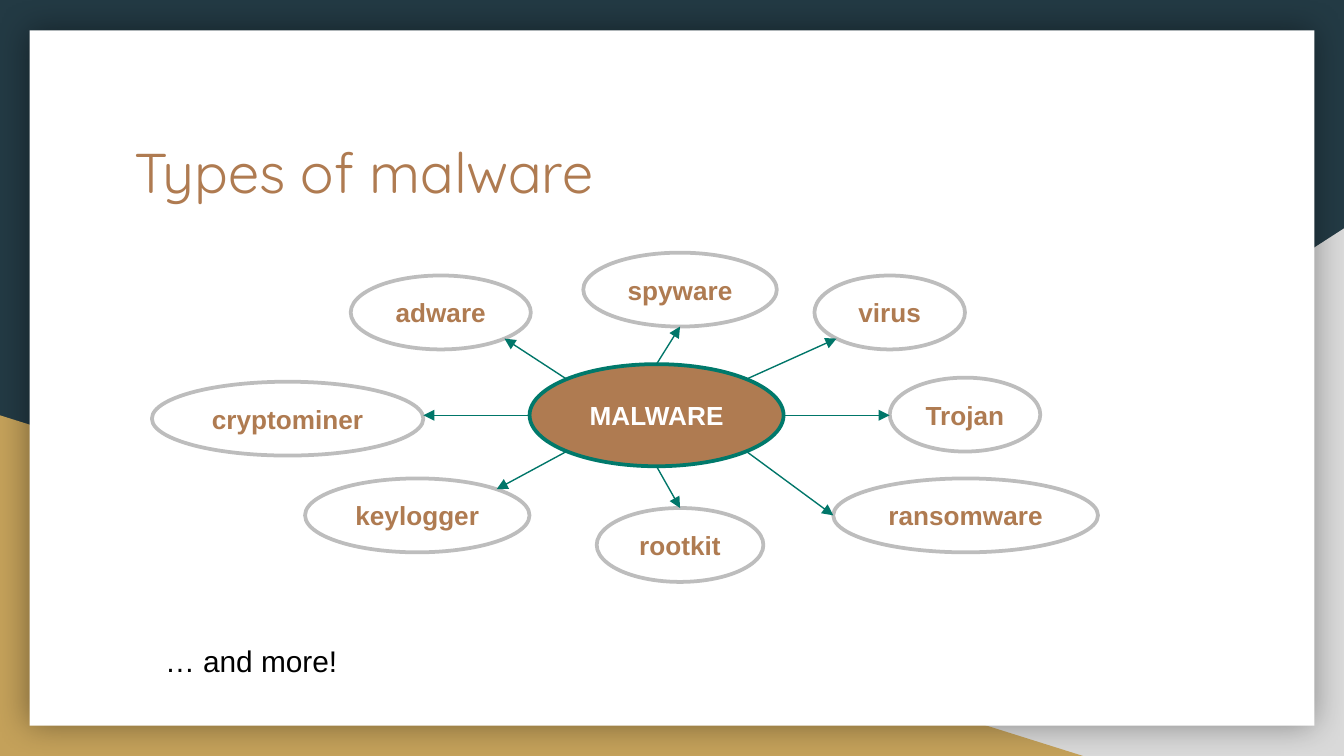
import math

from lxml import etree
from pptx import Presentation, util as u
from pptx.dml.color import RGBColor
from pptx.enum import shapes, text
from pptx.oxml.ns import qn

COLUMNS, ROWS = 100, 56.25  # square grid cells covering the slide
BROWN, WHITE = "AF7B51", "FFFFFF"

deck = Presentation()
deck.slide_width, deck.slide_height = u.Inches(10), u.Inches(5.625)
cell = deck.slide_width / COLUMNS
slide = deck.slides.add_slide(deck.slide_layouts[6])
slide.background.fill.solid()
slide.background.fill.fore_color.rgb = RGBColor.from_string("233A44")


def add_figure(preset, box, fill, line=None):
    """Add a preset shape; box is left, top, width, height in grid cells."""
    figure = slide.shapes.add_shape(preset, *(round(n * cell) for n in box))
    figure.shadow.inherit = False
    figure.fill.solid()
    figure.fill.fore_color.rgb = RGBColor.from_string(fill)
    if line:
        figure.line.color.rgb = RGBColor.from_string(line)
        figure.line.width = u.Pt(2)
    else:
        figure.line.fill.background()
    return figure


def write(holder, words, size, color, font="Arial", bold=False):
    holder.text_frame.text = words
    style = holder.text_frame.paragraphs[0].runs[0].font
    style.name, style.size, style.bold = font, u.Pt(size), bold
    style.color.rgb = RGBColor.from_string(color)


# Backdrop: two corner triangles and the white card with a soft shadow
preset = shapes.MSO_SHAPE
grey_corner = add_figure(preset.RIGHT_TRIANGLE, (39.2, 17, 60.8, ROWS - 17), "D9D9D9")
grey_corner._element.spPr.find(qn("a:xfrm")).set("flipH", "1")
add_figure(preset.RIGHT_TRIANGLE, (0, 30.9, 80.6, ROWS - 30.9), "C4A15A")
card = add_figure(preset.RECTANGLE, (2.2, 2.25, 95.6, 51.75), WHITE)
effects = card._element.spPr.find(qn("a:effectLst"))
glow = etree.SubElement(effects, qn("a:outerShdw"), blurRad=str(u.Pt(18)),
                        dist="0", dir="0", algn="ctr", rotWithShape="0")
shade = etree.SubElement(glow, qn("a:srgbClr"), val="000000")
etree.SubElement(shade, qn("a:alpha"), val="40000")

# Title and closing remark
for words, box, size, color, font, inset in (
    ("Types of malware", (9, 9.2, 82.1, 10.4), 30, BROWN, "Quicksand", 0.1),
    ("… and more!", (11.3, 47.3, 18.8, 3.7), 16, "000000", "Arial", 0.05),
):
    caption = slide.shapes.add_textbox(*(round(n * cell) for n in box))
    frame = caption.text_frame
    frame.word_wrap = True
    frame.margin_left = frame.margin_right = u.Inches(0.1)
    frame.margin_top = frame.margin_bottom = u.Inches(inset)
    write(caption, words, size, color, font)

# Hub and its kinds: left, top, width, angle leaving the hub, angle met on the kind
hub = (39.4, 27.1, 18.9, 7.6)
KIND_HEIGHT = 5.5
kinds = {
    "adware": (26.1, 20.5, 13.4, 225, 45),
    "spyware": (43.4, 18.8, 14.4, 270, 90),
    "virus": (60.6, 20.5, 11.2, 315, 135),
    "Trojan": (66.2, 28.1, 11.2, 0, 180),
    "cryptominer": (11.3, 28.4, 20.2, 180, 0),
    "keylogger": (22.7, 35.6, 16.7, 135, 315),
    "rootkit": (44.4, 37.8, 12.4, 90, 270),
    "ransomware": (62, 35.6, 19.7, 45, 180),
}
ovals = [("MALWARE", hub, BROWN, "00796B", WHITE)]
ovals += [(name, (*place[:3], KIND_HEIGHT), WHITE, "BDBDBD", BROWN)
          for name, place in kinds.items()]
for name, box, fill, outline, ink in ovals:
    oval = add_figure(preset.OVAL, box, fill, outline)
    write(oval, name, 14, ink, bold=True)
    oval.text_frame.word_wrap = False
    oval.text_frame.vertical_anchor = text.MSO_ANCHOR.MIDDLE
    oval.text_frame.paragraphs[0].alignment = text.PP_ALIGN.CENTER

# Arrows run from the hub's rim to each kind's rim
for left, top, width, leaving, meeting in kinds.values():
    ends = []
    for (x, y, w, h), angle in ((hub, leaving),
                                ((left, top, width, KIND_HEIGHT), meeting)):
        turn = math.radians(angle)
        ends += [x + w / 2 * (1 + math.cos(turn)), y + h / 2 * (1 + math.sin(turn))]
    if leaving in (0, 180):
        ends[3] = ends[1]  # keep side arrows level
    arrow = slide.shapes.add_connector(shapes.MSO_CONNECTOR.STRAIGHT,
                                       *(round(n * cell) for n in ends))
    arrow.line.color.rgb = RGBColor.from_string("007669")
    arrow.line.width = u.Pt(0.75)
    etree.SubElement(arrow.line._get_or_add_ln(), qn("a:tailEnd"), type="triangle")
    etree.SubElement(arrow._element.spPr, qn("a:effectLst"))

deck.save("out.pptx")
